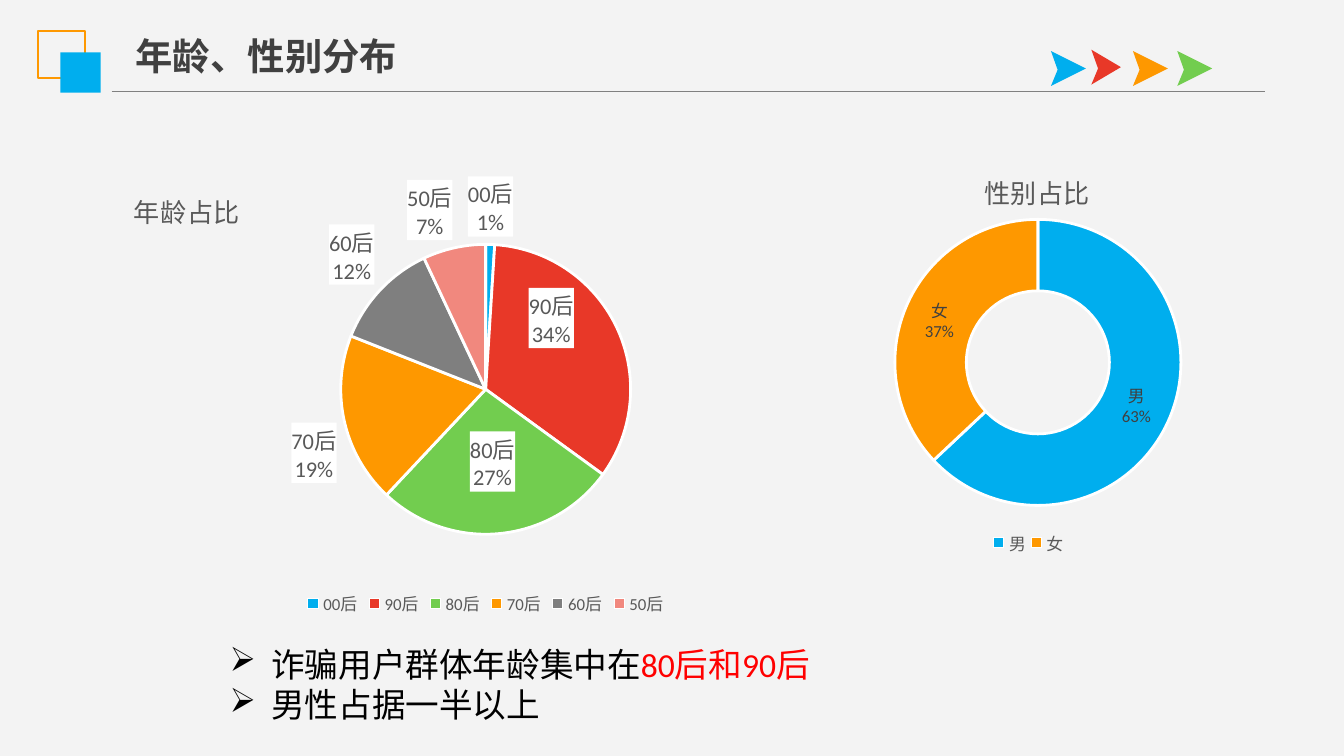
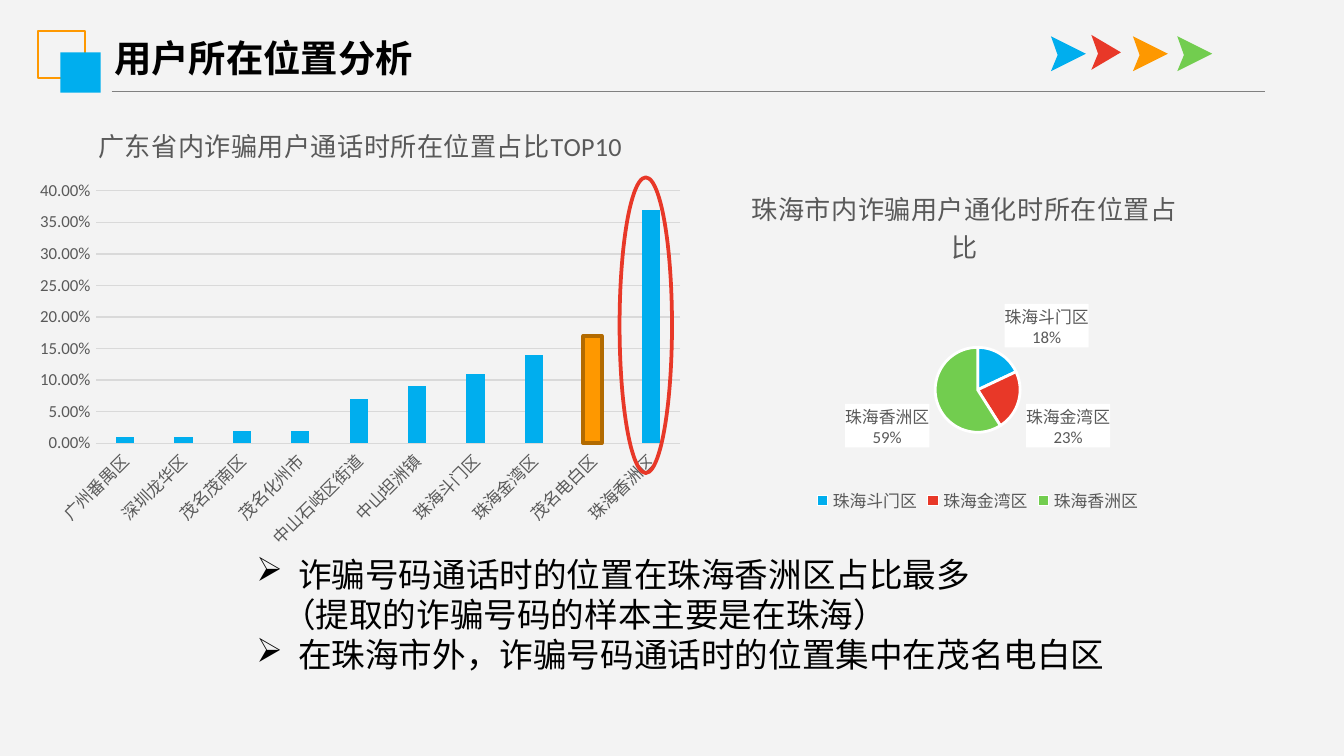
from copy import deepcopy
from lxml import etree
from pptx import Presentation
from pptx.chart.data import CategoryChartData
from pptx.dml.color import RGBColor as RGB
from pptx.enum.chart import XL_CHART_TYPE as CT, XL_LABEL_POSITION as LP
from pptx.enum.chart import XL_LEGEND_POSITION, XL_TICK_MARK
from pptx.enum.shapes import MSO_CONNECTOR, MSO_SHAPE as SH
from pptx.oxml import parse_xml
from pptx.oxml.ns import nsdecls, qn
from pptx.util import Inches, Pt

C = {"bg": "F3F3F3", "blue": "00AEEE", "red": "E83828", "green": "72CD4F",
     "orange": "FE9800", "brown": "B26A00", "gray": "7F7F7F", "pink": "F1887E",
     "rule": "808080", "grid": "D9D9D9", "label": "595959", "dark": "404040",
     "black": "000000", "hot": "FF0000", "white": "FFFFFF"}
CJK = "Noto Sans CJK SC"

prs = Presentation()
prs.slide_width, prs.slide_height = Inches(10), Inches(5.625)
G = prs.slide_width // 1000  # square grid, 1000 columns across the slide


def write(p, text, size=18, color="black", bold=False, font="Calibri"):
    r = p.add_run()
    r.text = text
    r.font.size, r.font.bold, r.font.name = Pt(size), bold, font
    r.font.color.rgb = RGB.from_string(C[color])
    etree.SubElement(r._r.get_or_add_rPr(), qn("a:ea"), typeface=CJK)


def draw_chart(s, kind, at, title, data, colors, label=None, inside=None,
               layouts=None, fmt="General"):
    """label: (size, colour, position, white box); inside: {point: vertical
    shift from the slice's centre}; layouts: {tag: shares of the chart's size}."""
    cd = CategoryChartData(number_format=fmt)
    cd.categories = list(data)
    cd.add_series("Series 1", list(data.values()))
    chart = s.shapes.add_chart(kind, *[v * G for v in at], cd).chart
    chart.font.size, chart.font.name = Pt(10), "Calibri"
    chart.font.color.rgb = RGB.from_string(C["black"])
    chart.has_title = True
    write(chart.chart_title.text_frame.paragraphs[0], title, 14, "label")
    chart.chart_title.include_in_layout = False
    plot, ser = chart.plots[0], chart.plots[0].series[0]
    chart.has_legend = plot.vary_by_categories = label is not None

    # Data labels and legend of the round charts
    if label:
        size, color, pos, boxed = label
        legend = chart.legend
        legend.position = XL_LEGEND_POSITION.BOTTOM
        legend.include_in_layout = False
        legend.font.size, legend.font.name = Pt(9), "Calibri"
        legend.font.color.rgb = RGB.from_string(C["label"])
        dl = ser.data_labels
        dl.show_value, dl.show_percentage, dl.show_category_name = False, True, True
        dl.number_format, dl.number_format_is_linked = "0%", False
        dl.font.size, dl.font.name = Pt(size), "Calibri"
        dl.font.color.rgb = RGB.from_string(C[color])
        if pos is not None:
            dl.position = pos
        box = ser._element.find(qn("c:dLbls"))
        if boxed:
            box.find(qn("c:txPr")).addprevious(parse_xml(
                f'<c:spPr {nsdecls("c", "a")}><a:solidFill><a:srgbClr '
                f'val="{C["white"]}"/></a:solidFill></c:spPr>'))
        sep = etree.Element(qn("c:separator"))
        sep.text = "\n"
        box.find(qn("c:showBubbleSize")).addnext(sep)
        shared = [e for e in box if e.tag != qn("c:showLeaderLines")]
        for n, (i, dy) in enumerate((inside or {}).items()):
            one = parse_xml(
                f'<c:dLbl {nsdecls("c")}><c:idx val="{i}"/><c:layout><c:manualLayout>'
                f'<c:x val="0"/><c:y val="{dy}"/></c:manualLayout></c:layout></c:dLbl>')
            one.extend(deepcopy(e) for e in shared)
            one.find(qn("c:dLblPos")).set("val", "ctr")
            box.insert(n, one)
        for i, name in enumerate(colors):
            f = ser.points[i].format
            f.fill.solid()
            f.fill.fore_color.rgb = RGB.from_string(C[name])
            f.line.color.rgb = RGB.from_string(C["white"])
            f.line.width = Pt(1.5)

    # Manual placing of title, plot and legend
    for tag, shares in (layouts or {}).items():
        parent = chart.element.find(".//" + qn(tag))
        lay = parent.find(qn("c:layout"))
        if lay is None:
            lay = etree.Element(qn("c:layout"))
            parent.insert(1 if tag == "c:legend" else 0, lay)
        man = etree.SubElement(lay, qn("c:manualLayout"))
        if tag == "c:plotArea":
            etree.SubElement(man, qn("c:layoutTarget"), val="inner")
        for mode in ("c:xMode", "c:yMode"):
            etree.SubElement(man, qn(mode), val="edge")
        for key, v in zip("xywh", shares):
            etree.SubElement(man, qn("c:" + key), val=str(v))
    return chart


# Shared background, rule and squares live on the blank layout
layout = prs.slide_layouts[6]
for ph in list(layout.placeholders):
    ph.element.getparent().remove(ph.element)
layout.background.fill.solid()
layout.background.fill.fore_color.rgb = RGB.from_string(C["bg"])
s1, s2 = [prs.slides.add_slide(layout) for _ in range(2)]

rule = s1.shapes.add_connector(MSO_CONNECTOR.STRAIGHT, 83 * G, 68 * G, 941 * G, 68 * G)
rule.line.color.rgb, rule.line.width = RGB.from_string(C["rule"]), Pt(0.75)
etree.SubElement(rule._element.spPr, qn("a:effectLst"))
squares = s1.shapes.add_group_shape()
for x, y, side, name in ((28, 23, 35, "orange"), (45, 39, 30, "blue")):
    sp = squares.shapes.add_shape(SH.RECTANGLE, x * G, y * G, side * G, side * G)
    sp.shadow.inherit = False
    if name == "blue":
        sp.fill.solid()
        sp.fill.fore_color.rgb = RGB.from_string(C[name])
        sp.line.fill.background()
    else:
        sp.fill.background()
        sp.line.color.rgb, sp.line.width = RGB.from_string(C[name]), Pt(1)
for sp in (rule, squares):
    layout.shapes.element.append(sp.element)

# Titles, arrows and bullet notes: each note line is (bulleted, runs)
pages = [
    (s1, "年龄、性别分布", "dark", (91, 20, 217, 44), 38, (161, 474, 672, 71),
     [(True, [("诈骗用户群体年龄集中在", "black"), ("80后和90后", "hot")]),
      (True, [("男性占据一半以上", "black")])]),
    (s2, "用户所在位置分析", "black", (75, 21, 245, 44), 27, (181, 407, 699, 101),
     [(True, [("诈骗号码通话时的位置在珠海香洲区占比最多", "black")]),
      (False, [("（提取的诈骗号码的样本主要是在珠海）", "black")]),
      (True, [("在珠海市外，诈骗号码通话时的位置集中在茂名电白区", "black")])]),
]
for s, title, color, title_at, top, notes_at, notes in pages:
    tf = s.shapes.add_textbox(*[v * G for v in title_at]).text_frame
    tf.word_wrap = False
    write(tf.paragraphs[0], title, 20, color, True, CJK)

    for x, y, w, name in ((782, top, 26, "blue"), (812, top - 1, 22, "red"),
                          (843, top, 26, "orange"), (876, top, 26, "green")):
        fb = s.shapes.build_freeform(x * G, (y + 26) * G)
        fb.add_line_segments([((x + dx) * G, (y + dy) * G)
                              for dx, dy in ((5, 14), (0, 0), (w, 13))])
        arrow = fb.convert_to_shape()
        arrow.shadow.inherit = False
        arrow.fill.solid()
        arrow.fill.fore_color.rgb = RGB.from_string(C[name])
        arrow.line.fill.background()

    tf = s.shapes.add_textbox(*[v * G for v in notes_at]).text_frame
    tf.word_wrap = True
    for i, (bulleted, runs) in enumerate(notes):
        p = tf.add_paragraph() if i else tf.paragraphs[0]
        pPr = p._p.get_or_add_pPr()
        pPr.set("marL", str((31 if bulleted else 19) * G))
        if bulleted:
            pPr.set("indent", str(-31 * G))
            etree.SubElement(pPr, qn("a:buChar"), char="➢")
        for text, run_color in runs:
            write(p, text, color=run_color)

# Slide 1: age pie and gender ring
draw_chart(s1, CT.PIE, (67, 64, 583, 430), "年龄占比",
           {"00后": 1, "90后": 34, "80后": 27, "70后": 19, "60后": 12, "50后": 7},
           ["blue", "red", "green", "orange", "gray", "pink"],
           label=(12, "label", LP.OUTSIDE_END, True), inside={1: -0.07, 2: 0},
           layouts={"c:title": (0.05, 0.17), "c:plotArea": (0.32, 0.27, 0.37, 0.51),
                    "c:legend": (0.27, 0.87, 0.47, 0.05)})
ring = draw_chart(s1, CT.DOUGHNUT, (610, 107, 349, 316), "性别占比",
                  {"男": 63, "女": 37}, ["blue", "orange"],
                  label=(9, "dark", None, False),
                  layouts={"c:title": (0.34, 0.05),
                           "c:plotArea": (0.16, 0.09, 0.61, 0.85),
                           "c:legend": (0.36, 0.91, 0.17, 0.06)})
ring.element.find(".//" + qn("c:holeSize")).set("val", "75")

# Slide 2: top ten places
places = {"广州番禺区": 0.01, "深圳龙华区": 0.01, "茂名茂南区": 0.02,
          "茂名化州市": 0.02, "中山石岐区街道": 0.07, "中山坦洲镇": 0.09,
          "珠海斗门区": 0.11, "珠海金湾区": 0.14, "茂名电白区": 0.17,
          "珠海香洲区": 0.37}
bars = draw_chart(s2, CT.COLUMN_CLUSTERED, (20, 76, 496, 339),
                  "广东省内诈骗用户通话时所在位置占比TOP10", places, [], fmt="0.00%")
plot = bars.plots[0]
plot.gap_width, plot.overlap = 219, -27
ser = plot.series[0]
ser.invert_if_negative = False
marked = ser.points[8].format
for f, name in ((ser.format, "blue"), (marked, "orange")):
    f.fill.solid()
    f.fill.fore_color.rgb = RGB.from_string(C[name])
marked.line.color.rgb, marked.line.width = RGB.from_string(C["brown"]), Pt(2)
cat, val = bars.category_axis, bars.value_axis
for ax in (cat, val):
    ax.major_tick_mark = ax.minor_tick_mark = XL_TICK_MARK.NONE
    ax.tick_labels.font.size, ax.tick_labels.font.name = Pt(9), "Calibri"
    ax.tick_labels.font.color.rgb = RGB.from_string(C["label"])
for line in (cat.format.line, val.major_gridlines.format.line):
    line.color.rgb, line.width = RGB.from_string(C["grid"]), Pt(0.75)
val.format.line.fill.background()
val.minimum_scale, val.maximum_scale, val.major_unit = 0, 0.4, 0.05
val.tick_labels.number_format = "0.00%"
val.tick_labels.number_format_is_linked = False
cat._element.find(qn("c:txPr")).find(qn("a:bodyPr")).set("rot", "-2700000")

# Slide 2: districts pie and the ring round the tallest bar
draw_chart(s2, CT.PIE, (513, 132, 429, 253), "珠海市内诈骗用户通化时所在位置占比",
           {"珠海斗门区": 18, "珠海金湾区": 23, "珠海香洲区": 59},
           ["blue", "red", "green"], label=(9, "label", LP.OUTSIDE_END, True),
           layouts={"c:title": (0.1, 0.01), "c:plotArea": (0.42, 0.5, 0.16, 0.25)})
oval = s2.shapes.add_shape(SH.OVAL, 461 * G, 132 * G, 39 * G, 220 * G)
oval.shadow.inherit = False
oval.fill.background()
oval.line.color.rgb, oval.line.width = RGB.from_string(C["red"]), Pt(2)

prs.save("out.pptx")
